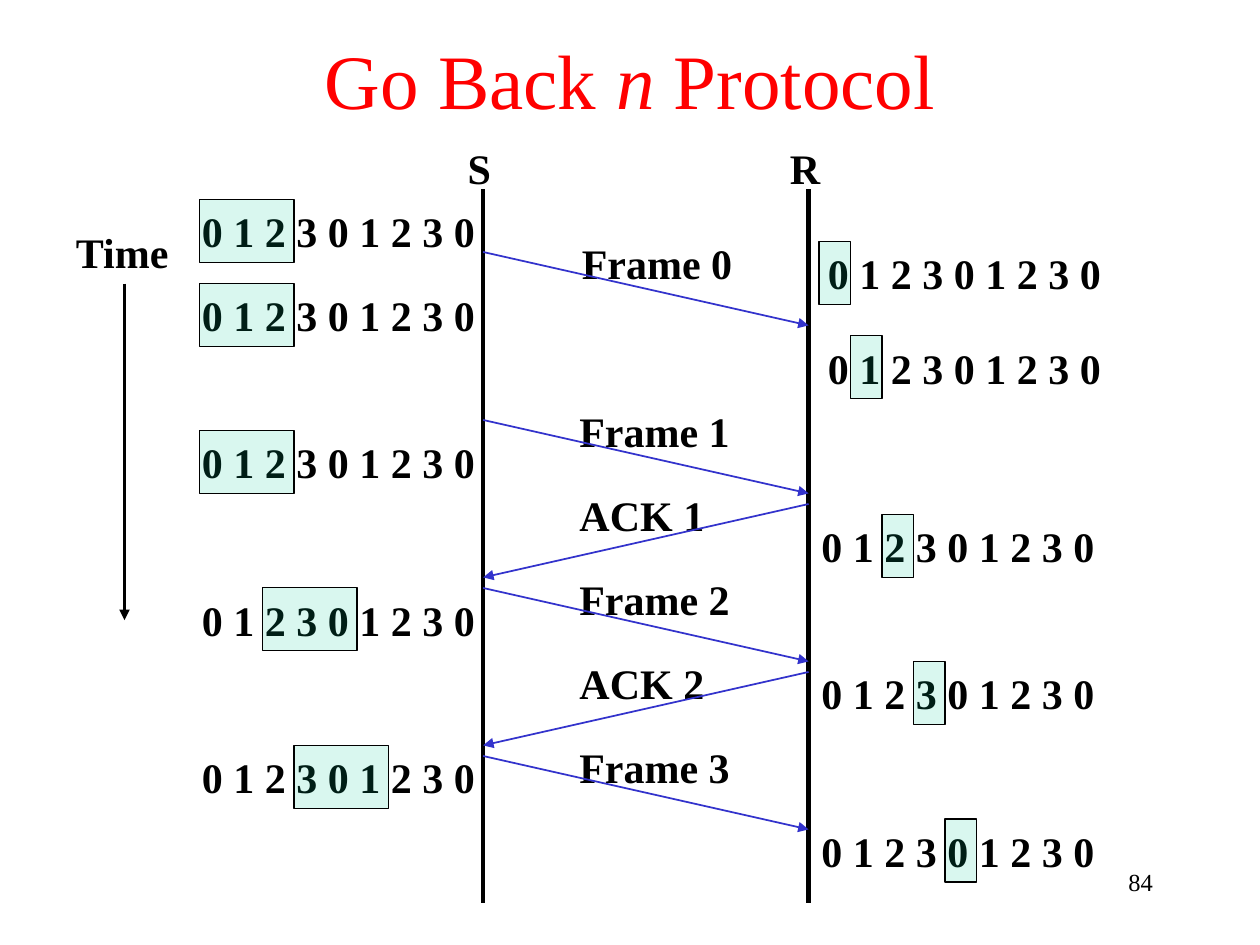
from lxml import etree
from pptx import Presentation
from pptx.dml.color import RGBColor
from pptx.enum.shapes import MSO_CONNECTOR, MSO_SHAPE
from pptx.enum.text import MSO_ANCHOR, MSO_AUTO_SIZE, PP_ALIGN
from pptx.oxml.ns import qn
from pptx.util import Cm, Pt

STRAIGHT = MSO_CONNECTOR.STRAIGHT
RECT = MSO_SHAPE.RECTANGLE
MIDDLE, TOP = MSO_ANCHOR.MIDDLE, MSO_ANCHOR.TOP
FIT = MSO_AUTO_SIZE.SHAPE_TO_FIT_TEXT
CENTER, RIGHT = PP_ALIGN.CENTER, PP_ALIGN.RIGHT

FONT = "Times New Roman"
BLACK, RED, BLUE, MINT = "000000", "FF0000", "3333CC", "00CC99"
SEQUENCE = "0 1 2 3 0 1 2 3 0"

SENDER_X, RECEIVER_X = 9.74, 16.3
ROW_H = 1.27        # height of labels and windows
SLACK = 0.05        # spare width on each side of a label, so it stays on one line
SLOT = 2.54 / 4     # width of one sequence number
DROP = 1.48         # fall of an arrow between the two sides
PITCH = 2.54 * 2 / 3  # step between successive messages

# (top, text left, first slot in the window)
SENDER_ROWS = [(4.02, 3.81, 0), (5.72, 3.81, 0), (8.68, 3.81, 0),
               (11.85, 3.81, 2), (15.03, 3.81, 3)]
RECEIVER_ROWS = [(4.87, 16.43, 0), (6.77, 16.43, 1), (10.37, 16.3, 2),
                 (13.34, 16.3, 3), (16.51, 16.3, 4)]
# (label, steps after the first message)
MESSAGES = [("Frame 0", 0), ("Frame 1", 2), ("ACK 1", 3),
            ("Frame 2", 4), ("ACK 2", 5), ("Frame 3", 6)]


def rgb(color):
    return RGBColor.from_string(color)


def add_text(s, x, y, w, h, runs, size, color=BLACK, align=CENTER, anchor=TOP):
    """Add one paragraph made of (text, italic) runs."""
    tf = s.shapes.add_textbox(Cm(x), Cm(y), Cm(w), Cm(h)).text_frame
    tf.word_wrap = True
    tf.vertical_anchor = anchor
    p = tf.paragraphs[0]
    p.alignment = align
    p.font.name, p.font.size = FONT, Pt(size)
    p.font.color.rgb = rgb(color)
    for text, italic in runs:
        r = p.add_run()
        r.text = text
        if italic:
            r.font.italic = True
    return tf


def add_label(s, x, y, w, text):
    tf = add_text(s, x - SLACK, y, w + 2 * SLACK, ROW_H, [(text, False)], 24)
    tf.word_wrap = False
    tf.auto_size = FIT
    tf.paragraphs[0].font.bold = True


def add_line(s, x1, y1, x2, y2, color, width, arrow=False):
    sp = s.shapes.add_connector(STRAIGHT, Cm(x1), Cm(y1), Cm(x2), Cm(y2))
    sp.line.color.rgb = rgb(color)
    sp.line.width = Pt(width)
    if arrow:
        etree.SubElement(sp.line._get_or_add_ln(), qn("a:tailEnd"), type="triangle")
    etree.SubElement(sp._element.spPr, qn("a:effectLst"))


def add_window(s, x, y, slots):
    sp = s.shapes.add_shape(RECT, Cm(x), Cm(y), Cm(slots * SLOT), Cm(ROW_H))
    sp.shadow.inherit = False
    sp.fill.solid()
    sp.fill.fore_color.rgb = rgb(MINT)
    fill = sp._element.spPr.find(qn("a:solidFill"))
    etree.SubElement(fill[0], qn("a:alpha"), val="15000")
    sp.line.color.rgb = rgb(BLACK)
    sp.line.width = Pt(0.75)


def add_sequences(s, rows, window_x, slots):
    for top, left, first in rows:
        add_label(s, left, top, 6.02, SEQUENCE)
        add_window(s, window_x + first * SLOT, top, slots)


def add_message(s, label, step):
    y = 5.08 + step * PITCH
    is_ack = label.startswith("ACK")
    add_label(s, 11.43 if step else 11.48, y - 0.42, 3.02 if is_ack else 3.53, label)
    ends = (RECEIVER_X, SENDER_X) if is_ack else (SENDER_X, RECEIVER_X)
    add_line(s, ends[0], y, ends[1], y + DROP, BLUE, 1, arrow=True)


def main():
    prs = Presentation()
    prs.slide_width, prs.slide_height = Cm(25.4), Cm(19.05)
    s = prs.slides.add_slide(prs.slide_layouts[6])

    # Title and page number
    title = [("Go Back ", False), ("n", True), (" Protocol", False)]
    add_text(s, 0, 0, 25.4, 3.18, title, 44, RED, anchor=MIDDLE)
    add_text(s, 18.21, 17.35, 5.28, ROW_H, [("84", False)], 14, align=RIGHT)

    # Sender and receiver lifelines
    for name, x, left, w in [("S", SENDER_X, 9.17, 0.99),
                             ("R", RECEIVER_X, 15.67, 1.12)]:
        add_line(s, x, 3.81, x, 18.21, BLACK, 2.5)
        add_label(s, left, 2.75, w, name)

    # Time axis
    add_label(s, 1.27, 4.45, 2.39, "Time")
    add_line(s, 2.51, 5.72, 2.51, 12.5, BLACK, 2, arrow=True)

    # Sliding windows on both sides
    add_sequences(s, SENDER_ROWS, 4.02, 3)
    add_sequences(s, RECEIVER_ROWS, 16.51, 1)

    # Messages between the lifelines
    for label, step in MESSAGES:
        add_message(s, label, step)

    prs.save("out.pptx")


if __name__ == "__main__":
    main()
